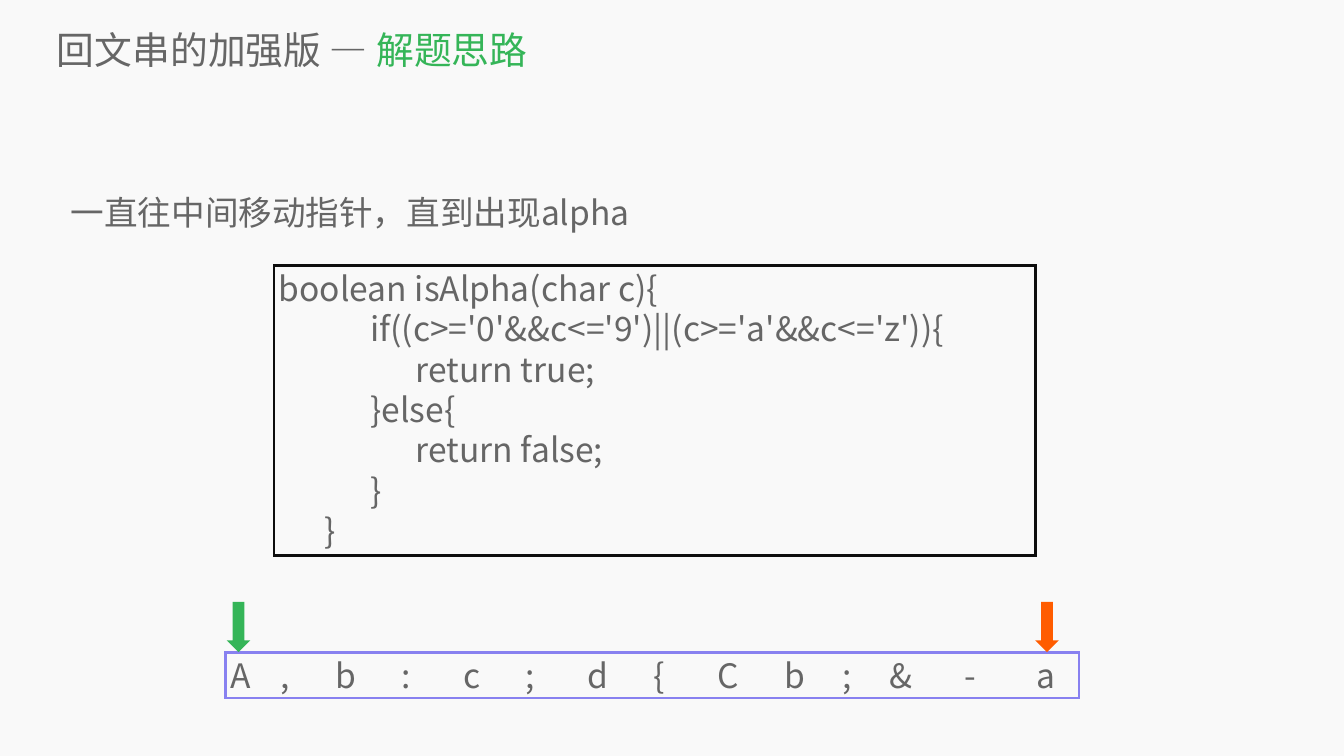
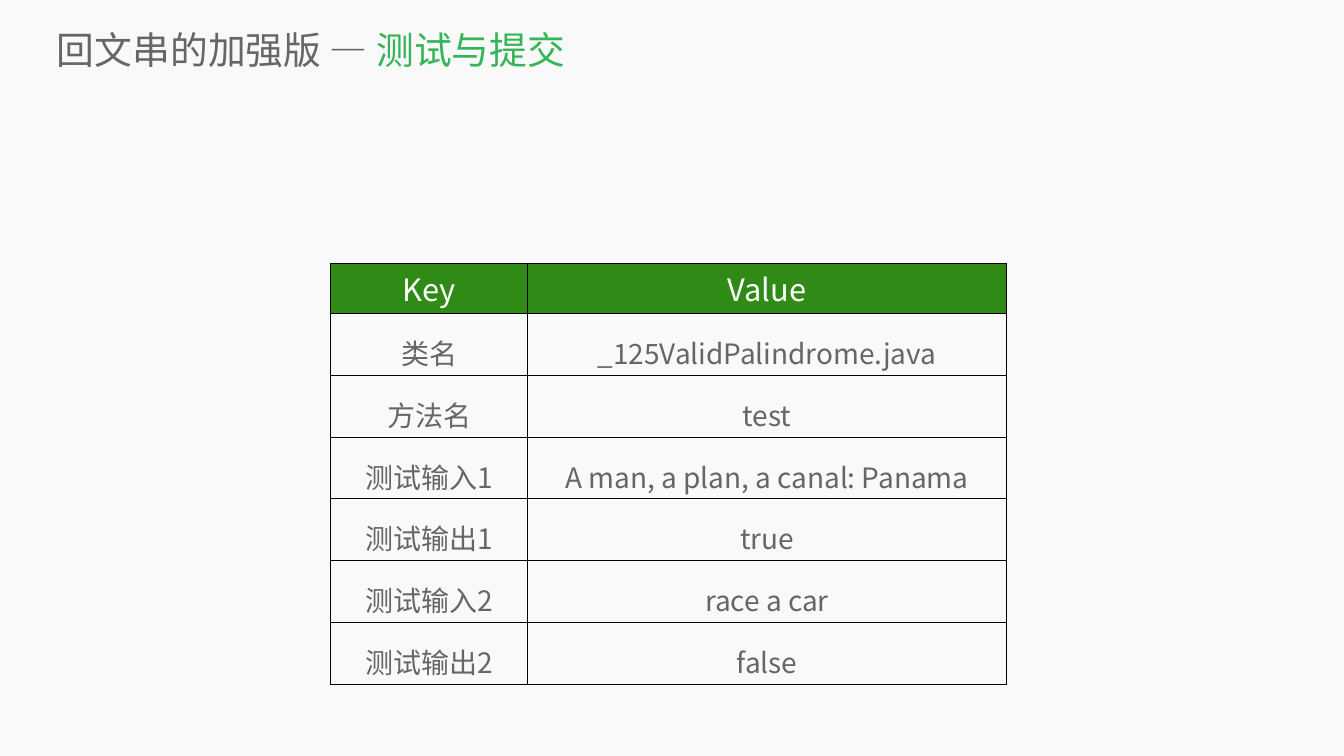
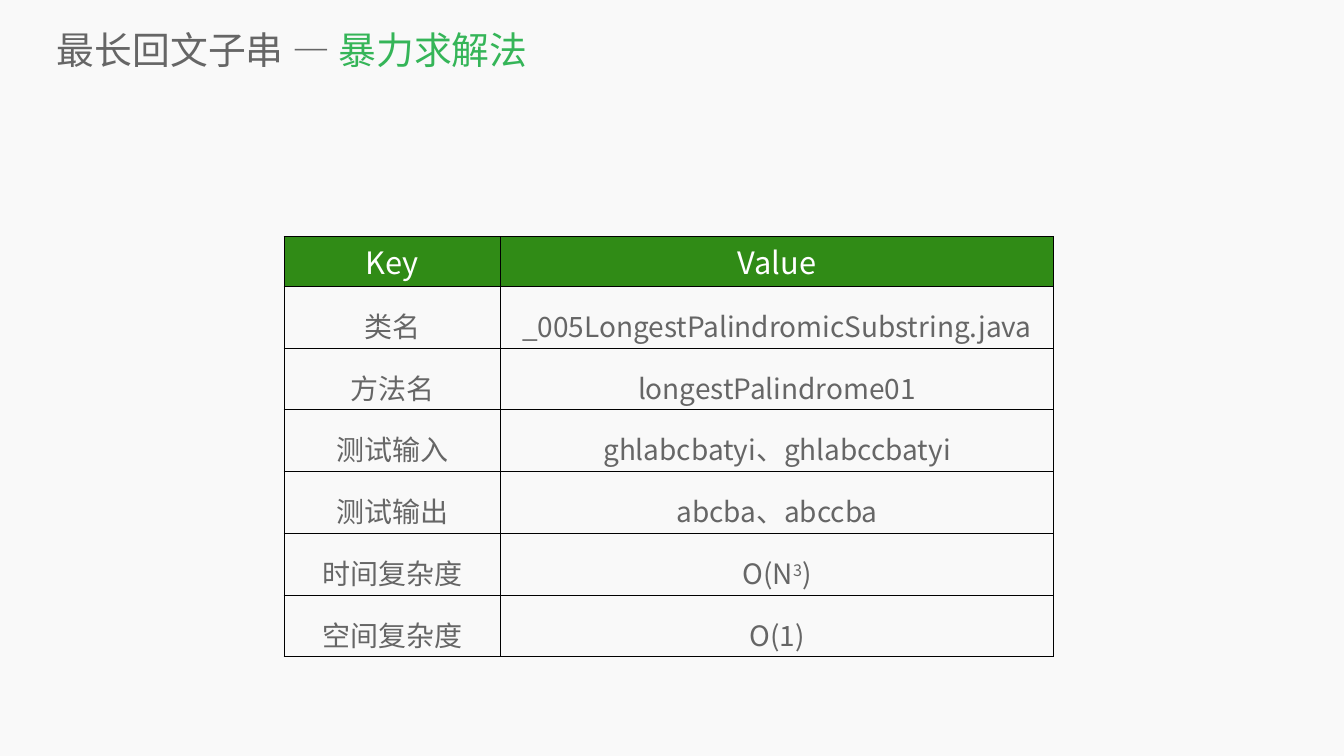
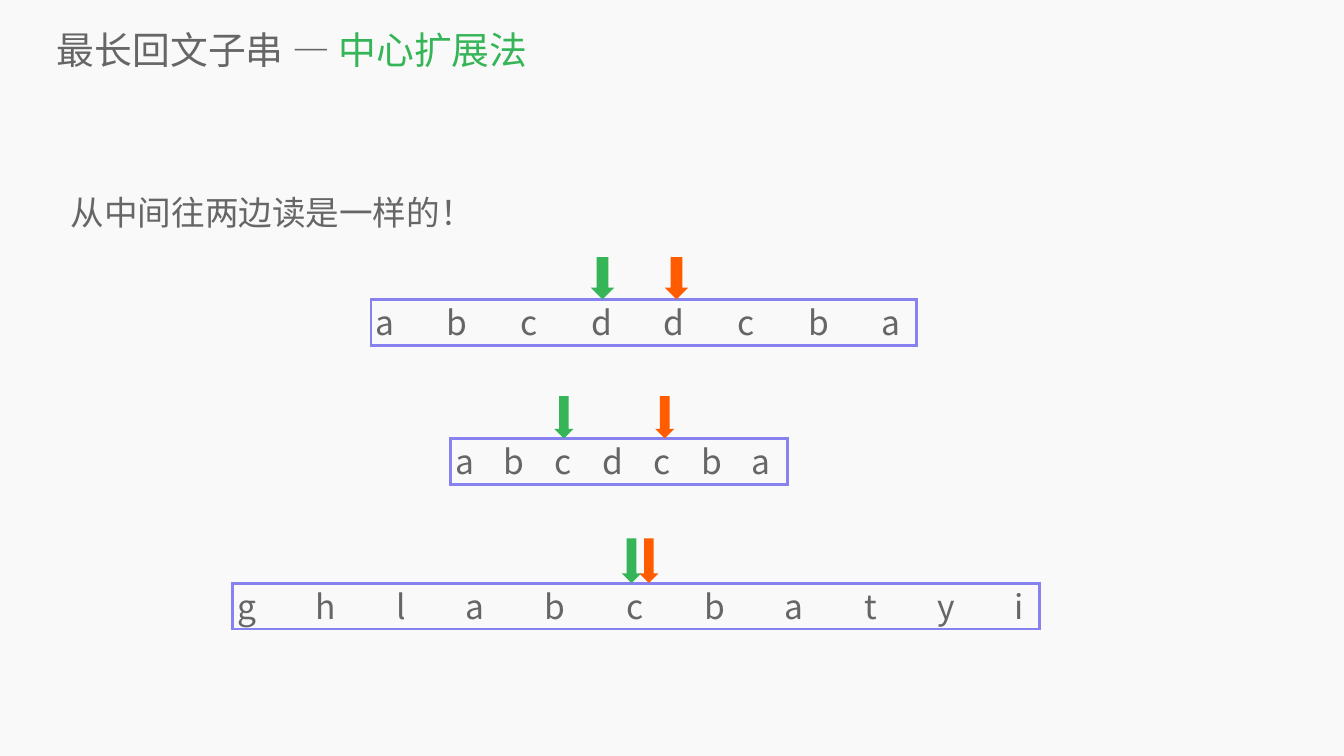
import pptx
import pptx.dml.color
import pptx.enum.shapes
import pptx.enum.text
import pptx.oxml
import pptx.oxml.ns
import pptx.util

RGBColor = pptx.dml.color.RGBColor
PAPER = RGBColor(0xF9, 0xF9, 0xF9)
GREY = RGBColor(0x66, 0x66, 0x66)
GREEN = RGBColor(0x35, 0xB5, 0x58)
ORANGE = RGBColor(0xFF, 0x5C, 0x00)
VIOLET = RGBColor(0x88, 0x81, 0xF0)
INK = RGBColor(0x0D, 0x0D, 0x0D)
HEADER_GREEN = RGBColor(0x30, 0x8B, 0x16)
WHITE = RGBColor(0xFF, 0xFF, 0xFF)
BLACK = RGBColor(0x00, 0x00, 0x00)

FONT = "Noto Sans CJK SC"
NAMESPACE = pptx.oxml.ns.nsdecls("a")
SLIDE_WIDTH = pptx.util.Inches(26.67)
SLIDE_HEIGHT = pptx.util.Inches(15)
COLUMN = SLIDE_WIDTH / 100
ROW = SLIDE_HEIGHT / 100

TITLE_BOX = (4.24, 3.13, 94.34, 6.8)
LEAD_BOX = (4.46, 23.27, 91.04, 74.93)
CODE_BOX = (20.38, 35.13, 56.66, 38.4)
STRIP_HEIGHT = 6.07
LEAD_INDENT = 0.8
CODE_INDENT = 3.4
FIRST_LETTER = 0.65
HEADER_ROW, BODY_ROW = 6.6, 8.17

CODE_LINES = [
    (0, "boolean isAlpha(char c){"),
    (2, "if((c>='0'&&c<='9')||(c>='a'&&c<='z')){"),
    (3, "return true;"),
    (2, "}else{"),
    (3, "return false;"),
    (2, "}"),
    (1, "}"),
]
MIXED_STOPS = [4.09, 8.59, 13.1, 17.96, 22.31, 27.35, 31.92,
               37.02, 42, 45.87, 49.91, 55.06, 60.68]
LONG_STOPS = [6.59, 12.17, 17.68, 23.63, 29.6, 35.5, 41.45, 47.15, 52.72, 58.15]
TEST_ROWS = [
    ("Key", "Value"),
    ("类名", "_125ValidPalindrome.java"),
    ("方法名", "test"),
    ("测试输入1", "A man, a plan, a canal: Panama"),
    ("测试输出1", "true"),
    ("测试输入2", "race a car"),
    ("测试输出2", "false"),
]
BRUTE_FORCE_ROWS = [
    ("Key", "Value"),
    ("类名", "_005LongestPalindromicSubstring.java"),
    ("方法名", "longestPalindrome01"),
    ("测试输入", "ghlabcbatyi、ghlabccbatyi"),
    ("测试输出", "abcba、abccba"),
    ("时间复杂度", "O(N^3^)"),
    ("空间复杂度", "O(1)"),
]


def place(left, top, width, height):
    """Turn percentages of the slide into lengths."""
    return [round(left * COLUMN), round(top * ROW), round(width * COLUMN), round(height * ROW)]


def write(paragraph, text, size=48, color=GREY, align=None, spacing=None, indent=0):
    """Add text to a paragraph; a part between carets is raised."""
    if align is not None:
        paragraph.alignment = align
    if spacing:
        paragraph.line_spacing = spacing
    if indent:
        properties = paragraph._p.get_or_add_pPr()
        properties.set("marL", str(round(indent * COLUMN)))
        properties.set("indent", "0")
    for number, part in enumerate(text.split("^")):
        run = paragraph.add_run()
        run.text = part
        run.font.size = pptx.util.Pt(size)
        run.font.name = FONT
        run.font.color.rgb = color
        properties = run._r.get_or_add_rPr()
        properties.find(pptx.oxml.ns.qn("a:latin")).addnext(
            pptx.oxml.parse_xml(f'<a:ea {NAMESPACE} typeface="{FONT}"/>'))
        if number % 2:
            properties.set("baseline", "30000")


def add_text_box(slide, box):
    """Add a wrapping text box without insets and return its frame."""
    frame = slide.shapes.add_textbox(*place(*box)).text_frame
    frame.word_wrap = True
    frame.margin_left = frame.margin_right = frame.margin_top = frame.margin_bottom = 0
    return frame


def add_titled_slide(presentation, topic, section):
    """Add a blank slide with its two-colour title."""
    slide = presentation.slides.add_slide(presentation.slide_layouts[6])
    frame = add_text_box(slide, TITLE_BOX)
    frame.vertical_anchor = pptx.enum.text.MSO_ANCHOR.MIDDLE
    write(frame.paragraphs[0], topic + " — ", size=54)
    write(frame.paragraphs[0], section, size=54, color=GREEN)
    return slide


def add_lead(slide, text):
    """Add the lead sentence below the title."""
    write(add_text_box(slide, LEAD_BOX).paragraphs[0], text, spacing=1.4, indent=LEAD_INDENT)


def add_frame(slide, box, color):
    """Add an outlined rectangle with sharp corners and return its text frame."""
    shape = slide.shapes.add_shape(pptx.enum.shapes.MSO_SHAPE.RECTANGLE, *place(*box))
    shape.shadow.inherit = False
    shape.fill.background()
    shape.line.color.rgb = color
    shape.line.width = pptx.util.Pt(4)
    shape.line._get_or_add_ln().append(
        pptx.oxml.parse_xml(f'<a:miter {NAMESPACE} lim="400000"/>'))
    frame = shape.text_frame
    frame.word_wrap = True
    frame.vertical_anchor = pptx.enum.text.MSO_ANCHOR.TOP
    frame.auto_size = pptx.enum.text.MSO_AUTO_SIZE.SHAPE_TO_FIT_TEXT
    return frame


def add_code(slide, box, lines):
    """Add a framed code listing with indented lines."""
    frame = add_frame(slide, box, INK)
    for number, (level, text) in enumerate(lines):
        paragraph = frame.add_paragraph() if number else frame.paragraphs[0]
        write(paragraph, text, indent=level * CODE_INDENT,
              align=pptx.enum.text.PP_ALIGN.LEFT)


def even_stops(count, pitch):
    """Return evenly spaced stops for the letters after the first."""
    return [FIRST_LETTER + pitch * number for number in range(1, count)]


def add_strip(slide, letters, corner, stops, pointers, pointer_size):
    """Add a framed row of letters with a green and an orange pointer above it."""
    left, top, width = corner
    paragraph = add_frame(slide, (left, top, width, STRIP_HEIGHT), VIOLET).paragraphs[0]
    write(paragraph, "\t".join(letters), align=pptx.enum.text.PP_ALIGN.LEFT)
    tabs = "".join(f'<a:tab pos="{round(stop * COLUMN)}" algn="ctr"/>' for stop in stops)
    paragraph._p.get_or_add_pPr().append(
        pptx.oxml.parse_xml(f'<a:tabLst {NAMESPACE}>{tabs}</a:tabLst>'))
    pointer_width, pointer_height = pointer_size
    for centre, color in zip(pointers, (GREEN, ORANGE)):
        box = (left + centre - pointer_width / 2, top - pointer_height,
               pointer_width, pointer_height)
        arrow = slide.shapes.add_shape(pptx.enum.shapes.MSO_SHAPE.DOWN_ARROW, *place(*box))
        arrow.shadow.inherit = False
        arrow.fill.solid()
        arrow.fill.fore_color.rgb = color
        arrow.line.fill.background()


def format_cell(cell, text, header):
    """Fill, border and write one table cell."""
    if header:
        cell.fill.solid()
        cell.fill.fore_color.rgb = HEADER_GREEN
    else:
        cell.fill.background()
    for position, side in enumerate("LRTB"):
        cell._tc.get_or_add_tcPr().insert(position, pptx.oxml.parse_xml(
            f'<a:ln{side} {NAMESPACE} w="12700"><a:solidFill>'
            f'<a:srgbClr val="{BLACK}"/></a:solidFill></a:ln{side}>'))
    write(cell.text_frame.paragraphs[0], text, size=44 if header else 40,
          color=WHITE if header else GREY, spacing=None if header else 1.4,
          align=pptx.enum.text.PP_ALIGN.CENTER)


def add_key_table(slide, left, top, widths, rows):
    """Add a two-column key and value table."""
    height = HEADER_ROW + BODY_ROW * (len(rows) - 1)
    table = slide.shapes.add_table(
        len(rows), len(widths), *place(left, top, sum(widths), height)).table
    table.horz_banding = False
    table.first_row = False
    for column, width in zip(table.columns, widths):
        column.width = round(width * COLUMN)
    for number, texts in enumerate(rows):
        table.rows[number].height = round((BODY_ROW if number else HEADER_ROW) * ROW)
        for cell, text in zip(table.rows[number].cells, texts):
            format_cell(cell, text, header=number == 0)


def main():
    """Build the four slides and save them."""
    presentation = pptx.Presentation()
    presentation.slide_width = SLIDE_WIDTH
    presentation.slide_height = SLIDE_HEIGHT
    background = presentation.slide_master.background.fill
    background.solid()
    background.fore_color.rgb = PAPER

    slide = add_titled_slide(presentation, "回文串的加强版", "解题思路")
    add_lead(slide, "一直往中间移动指针，直到出现alpha")
    add_strip(slide, "A,b:c;d{Cb;&-a", (16.76, 86.27, 63.52), MIXED_STOPS,
              (0.99, 61.14), (1.76, 6.67))
    add_code(slide, CODE_BOX, CODE_LINES)

    slide = add_titled_slide(presentation, "回文串的加强版", "测试与提交")
    add_key_table(slide, 24.6, 34.87, (14.66, 35.62), TEST_ROWS)

    slide = add_titled_slide(presentation, "最长回文子串", "暴力求解法")
    add_key_table(slide, 21.13, 31.27, (16.12, 41.13), BRUTE_FORCE_ROWS)

    slide = add_titled_slide(presentation, "最长回文子串", "中心扩展法")
    add_lead(slide, "从中间往两边读是一样的！")
    add_strip(slide, "ghlabcbatyi", (17.29, 77.13, 60.03), LONG_STOPS,
              (29.7, 30.99), (1.43, 5.93))
    add_strip(slide, "abcdcba", (33.52, 58, 25.08), even_stops(7, 3.68),
              (8.44, 15.94), (1.43, 5.6))
    add_strip(slide, "abcddcba", (27.6, 39.6, 40.61), even_stops(8, 5.38),
              (17.23, 22.74), (1.76, 5.6))

    presentation.save("out.pptx")


if __name__ == "__main__":
    main()
